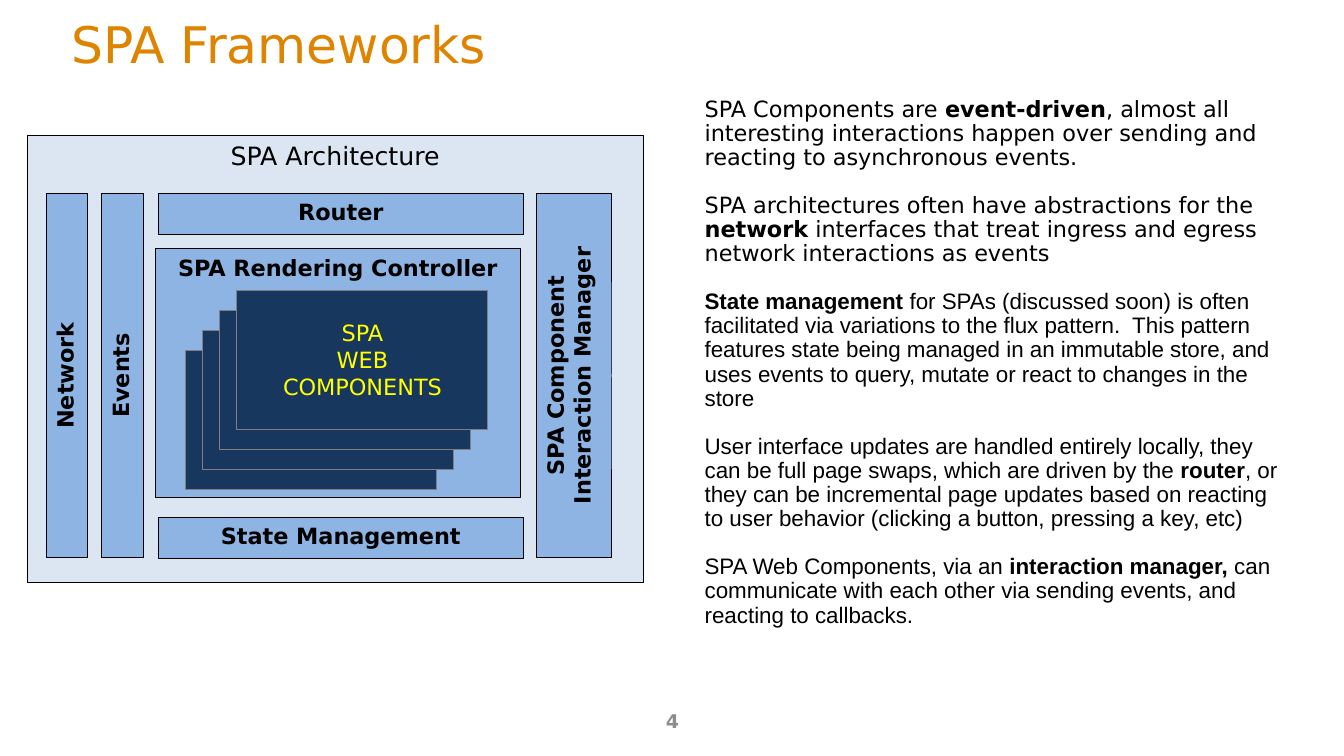
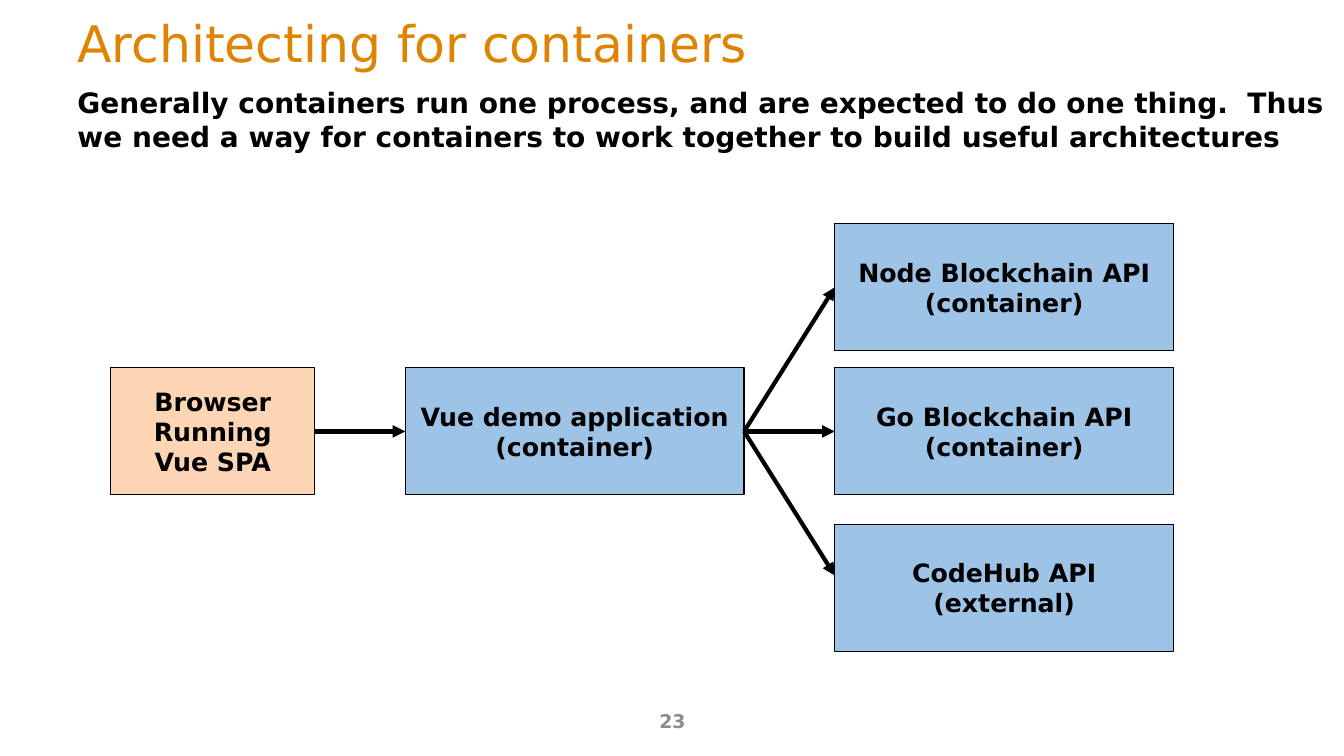
from dataclasses import dataclass

from lxml import etree
from pptx import Presentation
from pptx.dml.color import RGBColor
from pptx.enum.shapes import MSO_CONNECTOR, MSO_SHAPE
from pptx.enum.text import MSO_ANCHOR, PP_ALIGN
from pptx.oxml.ns import qn
from pptx.util import Pt

RECTANGLE, STRAIGHT = MSO_SHAPE.RECTANGLE, MSO_CONNECTOR.STRAIGHT
TOP, MIDDLE = MSO_ANCHOR.TOP, MSO_ANCHOR.MIDDLE
LEFT, CENTER = PP_ALIGN.LEFT, PP_ALIGN.CENTER
LEFT_SIDE, RIGHT_SIDE = 1, 3
EMU_PER_PX = 9144  # 100 px to the inch
BLANK_LAYOUT = 6


@dataclass(frozen=True)
class Theme:
    font: str = "DejaVu Sans"
    second_font: str = "Arial"
    title_color: str = "DE8400"
    number_color: str = "8C8C8C"
    text: str = "000000"
    frame: str = "DCE6F2"
    module: str = "8EB4E3"
    card: str = "17375E"
    card_line: str = "808080"
    card_text: str = "FFFF00"
    service: str = "9DC3E7"
    client: str = "FCD5B5"
    title_size: float = 36
    lead_size: float = 20
    large_size: float = 18
    body_size: float = 16
    number_size: float = 13.5
    outline: float = 0.75
    arrow: float = 3


THEME = Theme()

# Boxes are (left, top, width, height) in px.
SLIDE_SIZE = (1333, 750)
NUMBER_BOX = (456, 695, 422, 40)

FRAMEWORKS = {"title": "SPA Frameworks", "title_box": (61, 5, 1196, 76), "number": 4}
NOTES_BOX = (689, 92, 598, 592)
# Each note: font, then text pieces that alternate between regular and bold.
NOTES = [
    (THEME.font, ["SPA Components are ", "event-driven",
                  ", almost all interesting interactions happen over sending and "
                  "reacting to asynchronous events."]),
    (THEME.font, ["SPA architectures often have abstractions for the ", "network",
                  " interfaces that treat ingress and egress network interactions as events"]),
    (THEME.second_font, ["", "State management ",
                         "for SPAs (discussed soon) is often facilitated via variations to "
                         "the flux pattern.  This pattern features state being managed in an "
                         "immutable store, and uses events to query, mutate or react to "
                         "changes in the store"]),
    (THEME.second_font, ["User interface updates are handled entirely locally, they can be "
                         "full page swaps, which are driven by the ", "router",
                         ", or they can be incremental page updates based on reacting to "
                         "user behavior (clicking a button, pressing a key, etc)"]),
    (THEME.second_font, ["SPA Web Components, via an ", "interaction manager, ",
                         "can communicate with each other via sending events, and reacting "
                         "to callbacks."]),
]
ARCHITECTURE = ("SPA Architecture", (27, 134, 611, 444))
MODULES = [
    ("Router", (157, 192, 362, 41)),
    ("SPA Rendering Controller", (154, 247, 362, 247)),
    ("State Management", (157, 513, 362, 41)),
]
COLUMN_TOP, COLUMN_HEIGHT = 192, 361
COLUMNS = [  # text, left, width
    ("Network", 46, 41),
    ("Events", 101, 41),
    ("SPA Component\nInteraction Manager", 532, 75),
]
CARD_TEXT = "SPA\nWEB\nCOMPONENTS"
CARD_COUNT = 4
BACK_CARD = (184, 348, 249, 138)
CARD_STEP = (17, -20)

CONTAINERS = {"title": "Architecting for containers", "title_box": (67, 4, 1200, 76),
              "number": 23}
LEAD_BOX = (67, 80, 1267, 115)
LEAD = ("Generally containers run one process, and are expected to do one thing.  Thus "
        "we need a way for containers to work together to build useful architectures")
ROW_TOP, NODE_HEIGHT = 365, 126
BROWSER = ("Browser\nRunning\nVue SPA", (110, ROW_TOP, 202, NODE_HEIGHT))
APPLICATION = ("Vue demo application\n(container)", (402, ROW_TOP, 336, NODE_HEIGHT))
API_LEFT, API_WIDTH = 828, 336
APIS = [  # text, top, end height of its arrow (None: middle of the side)
    ("Node Blockchain API\n(container)", 222, None),
    ("Go Blockchain API\n(container)", ROW_TOP, None),
    ("CodeHub API\n(external)", 520, 571),
]


def px(*lengths):
    return [round(length * EMU_PER_PX) for length in lengths]


def rgb(color):
    return RGBColor.from_string(color)


def style_paragraph(paragraph, size, color, bold=False, align=LEFT, font=THEME.font):
    paragraph.alignment = align
    paragraph.font.name = font
    paragraph.font.size = Pt(size)
    paragraph.font.bold = bold
    paragraph.font.color.rgb = rgb(color)


def add_text(slide, box, text, size, color=THEME.text, bold=False, align=LEFT, anchor=TOP):
    frame = slide.shapes.add_textbox(*px(*box)).text_frame
    frame.word_wrap = True
    frame.vertical_anchor = anchor
    paragraph = frame.paragraphs[0]
    paragraph.text = text
    style_paragraph(paragraph, size, color, bold, align)


def add_box(slide, box, fill, text="", size=THEME.body_size, color=THEME.text,
            bold=True, line=THEME.text, anchor=TOP):
    shape = slide.shapes.add_shape(RECTANGLE, *px(*box))
    shape.shadow.inherit = False
    shape.fill.solid()
    shape.fill.fore_color.rgb = rgb(fill)
    shape.line.color.rgb = rgb(line)
    shape.line.width = Pt(THEME.outline)
    if text:
        frame = shape.text_frame
        frame.word_wrap = False
        frame.vertical_anchor = anchor
        frame.text = text
        for paragraph in frame.paragraphs:
            style_paragraph(paragraph, size, color, bold, CENTER)
    return shape


def add_column(slide, text, left, width):
    """Add a box that reads upwards: laid out flat round its centre, then turned."""
    flat_left = left + (width - COLUMN_HEIGHT) / 2
    flat_top = COLUMN_TOP + (COLUMN_HEIGHT - width) / 2
    column = add_box(slide, (flat_left, flat_top, COLUMN_HEIGHT, width), THEME.module, text)
    column.rotation = 270


def add_arrow(slide, source, target, end_height=None):
    """Join the right side of source to the left side of target."""
    end_y = px(end_height)[0] if end_height else target.top + target.height // 2
    arrow = slide.shapes.add_connector(
        STRAIGHT, source.left + source.width, source.top + source.height // 2,
        target.left, end_y)
    arrow.begin_connect(source, RIGHT_SIDE)
    if end_height is None:
        arrow.end_connect(target, LEFT_SIDE)
    arrow.line.color.rgb = rgb(THEME.text)
    arrow.line.width = Pt(THEME.arrow)
    etree.SubElement(arrow.line._get_or_add_ln(), qn("a:tailEnd"), type="triangle")
    etree.SubElement(arrow._element.spPr, qn("a:effectLst"))


def add_slide(presentation, heading):
    slide = presentation.slides.add_slide(presentation.slide_layouts[BLANK_LAYOUT])
    add_text(slide, NUMBER_BOX, str(heading["number"]), THEME.number_size,
             THEME.number_color, bold=True, align=CENTER, anchor=MIDDLE)
    add_text(slide, heading["title_box"], heading["title"], THEME.title_size,
             THEME.title_color, anchor=MIDDLE)
    return slide


def add_notes_column(slide):
    frame = slide.shapes.add_textbox(*px(*NOTES_BOX)).text_frame
    frame.word_wrap = True
    for index, (font, pieces) in enumerate(NOTES):
        paragraph = frame.add_paragraph() if index else frame.paragraphs[0]
        style_paragraph(paragraph, THEME.body_size, THEME.text, font=font)
        paragraph.line_spacing = 0.9
        paragraph.space_before = Pt(17 if index else 0)
        for position, piece in enumerate(pieces):
            if piece:
                run = paragraph.add_run()
                run.text = piece
                if position % 2:
                    run.font.bold = True


def build_frameworks(presentation):
    slide = add_slide(presentation, FRAMEWORKS)
    add_notes_column(slide)
    text, box = ARCHITECTURE
    add_box(slide, box, THEME.frame, text, THEME.large_size, bold=False)
    for text, box in MODULES:
        add_box(slide, box, THEME.module, text)
    for column in COLUMNS:
        add_column(slide, *column)
    left, top, width, height = BACK_CARD
    step_x, step_y = CARD_STEP
    for index in range(CARD_COUNT):
        is_front = index == CARD_COUNT - 1
        add_box(slide, (left + index * step_x, top + index * step_y, width, height),
                THEME.card, CARD_TEXT if is_front else "", color=THEME.card_text,
                bold=False, line=THEME.card_line, anchor=MIDDLE)


def build_containers(presentation):
    slide = add_slide(presentation, CONTAINERS)
    add_text(slide, LEAD_BOX, LEAD, THEME.lead_size, bold=True)

    def add_node(text, box, fill=THEME.service):
        return add_box(slide, box, fill, text, THEME.large_size, anchor=MIDDLE)

    browser = add_node(*BROWSER, fill=THEME.client)
    application = add_node(*APPLICATION)
    add_arrow(slide, browser, application)
    for text, top, end_height in APIS:
        api = add_node(text, (API_LEFT, top, API_WIDTH, NODE_HEIGHT))
        add_arrow(slide, application, api, end_height)


def main():
    presentation = Presentation()
    presentation.slide_width, presentation.slide_height = px(*SLIDE_SIZE)
    build_frameworks(presentation)
    build_containers(presentation)
    presentation.save("out.pptx")


if __name__ == "__main__":
    main()
